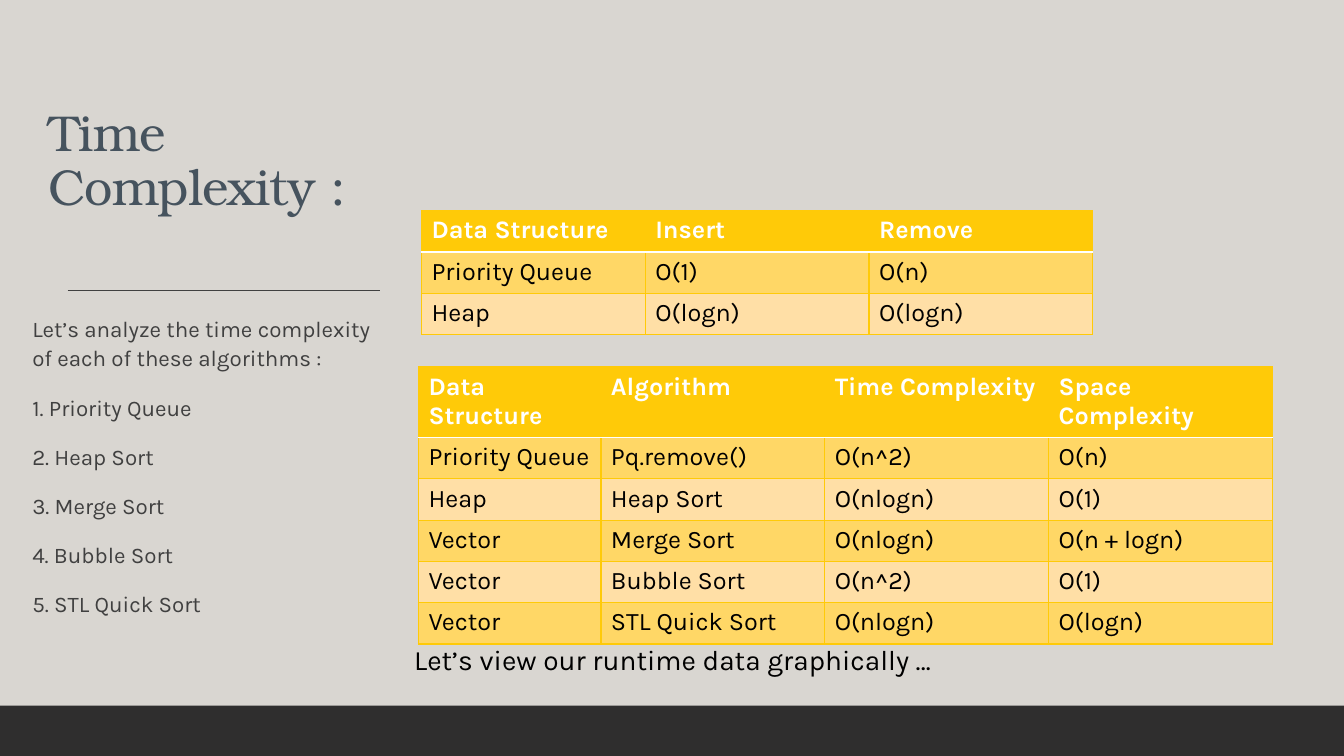
from dataclasses import dataclass
from typing import Any

import pptx
import pptx.dml.color
import pptx.enum.shapes
import pptx.enum.text
import pptx.oxml
import pptx.oxml.ns
import pptx.util

Inches = pptx.util.Inches
Pt = pptx.util.Pt


@dataclass(frozen=True)
class Theme:
    paper: str = "D9D6D1"
    footer: str = "262626"
    title: str = "46535E"
    muted: str = "404040"
    header: str = "FFCA08"
    odd_row: str = "FFD766"
    even_row: str = "FFDFA6"
    white: str = "FFFFFF"
    black: str = "000000"
    serif: str = "TeX Gyre Bonum"
    sans: str = "Karla"
    title_size: int = 36
    caption_size: int = 20
    table_size: int = 18
    body_size: int = 16


@dataclass(frozen=True)
class Box:
    left: float
    top: float
    width: float
    height: float

    def emu(self) -> list[int]:
        return [Inches(v) for v in (self.left, self.top, self.width, self.height)]


@dataclass(frozen=True)
class Bar:
    box: Box
    color: str
    opacity: int = 100


@dataclass(frozen=True)
class TextBlock:
    box: Box
    lines: list[str]
    font: dict[str, Any]
    color: str
    frame: dict[str, Any]
    paragraph: dict[str, Any]
    space_before: int = 0
    indent: float = 0
    spacing: int = 0


@dataclass(frozen=True)
class Grid:
    left: float
    top: float
    widths: list[float]
    rows: list[list[str]]


THEME = Theme()
ROW_HEIGHT = 0.41
COLUMN = 2.22

BARS = [
    Bar(Box(0, 0, 13.33, 7.5), THEME.paper),
    Bar(Box(0, 7, 13.33, 0.5), THEME.footer, 95),
]

TEXTS = [
    TextBlock(
        Box(0.38, 1.66, 3.39, 2.14),
        ["Time Complexity :"],
        {"name": THEME.serif, "size": Pt(THEME.title_size)},
        THEME.title,
        {"vertical_anchor": pptx.enum.text.MSO_ANCHOR.BOTTOM, "margin_bottom": Inches(1.65)},
        {"line_spacing": 0.9},
        spacing=-50,
    ),
    TextBlock(
        Box(0.22, 3.05, 3.69, 3.62),
        [
            "Let’s analyze the time complexity of each of these algorithms :",
            "1. Priority Queue",
            "2. Heap Sort",
            "3. Merge Sort",
            "4. Bubble Sort",
            "5. STL Quick Sort",
        ],
        {"name": THEME.sans, "size": Pt(THEME.body_size)},
        THEME.muted,
        {"margin_left": 0, "margin_right": 0},
        {"line_spacing": 1.1, "space_after": Pt(2)},
        space_before=12,
        indent=0.1,
    ),
    TextBlock(
        Box(4.01, 6.32, 8.61, 0.44),
        ["Let’s view our runtime data graphically …"],
        {"name": THEME.sans, "size": Pt(THEME.caption_size)},
        THEME.black,
        {},
        {},
    ),
]

GRIDS = [
    Grid(4.18, 2.09, [COLUMN] * 3, [
        ["Data Structure", "Insert", "Remove"],
        ["Priority Queue", "O(1)", "O(n)"],
        ["Heap", "O(logn)", "O(logn)"],
    ]),
    Grid(4.15, 3.64, [1.81] + [COLUMN] * 3, [
        ["Data Structure", "Algorithm", "Time Complexity", "Space Complexity"],
        ["Priority Queue", "Pq.remove()", "O(n^2)", "O(n)"],
        ["Heap", "Heap Sort", "O(nlogn)", "O(1)"],
        ["Vector", "Merge Sort", "O(nlogn)", "O(n + logn)"],
        ["Vector", "Bubble Sort", "O(n^2)", "O(1)"],
        ["Vector", "STL Quick Sort", "O(nlogn)", "O(logn)"],
    ]),
]


def apply(obj: Any, values: dict[str, Any]) -> None:
    for name, value in values.items():
        setattr(obj, name, value)


def rgb(color: str) -> Any:
    return pptx.dml.color.RGBColor.from_string(color)


def paint(fill: Any, color: str) -> None:
    fill.solid()
    fill.fore_color.rgb = rgb(color)


def add_child(parent: Any, tag: str, **attributes: str) -> Any:
    child = pptx.oxml.parse_xml(f'<{tag} {pptx.oxml.ns.nsdecls("a")}/>')
    for name, value in attributes.items():
        child.set(name, value)
    parent.append(child)
    return child


def add_bar(s: Any, bar: Bar) -> None:
    sp = s.shapes.add_shape(pptx.enum.shapes.MSO_SHAPE.RECTANGLE, *bar.box.emu())
    sp.shadow.inherit = False
    sp.line.fill.background()
    paint(sp.fill, bar.color)
    if bar.opacity < 100:
        solid = sp._element.spPr.find(pptx.oxml.ns.qn("a:solidFill"))
        add_child(solid[0], "a:alpha", val=str(bar.opacity * 1000))


def add_rule(s: Any) -> None:
    points = [Inches(v) for v in (0.67, 2.88, 3.77, 2.88)]
    rule = s.shapes.add_connector(pptx.enum.shapes.MSO_CONNECTOR.STRAIGHT, *points)
    rule.line.color.rgb = rgb(THEME.muted)
    rule.line.width = Pt(1)
    add_child(rule._element.spPr, "a:effectLst")


def add_text(s: Any, block: TextBlock) -> None:
    tf = s.shapes.add_textbox(*block.box.emu()).text_frame
    apply(tf, {"word_wrap": True, **block.frame})
    for i, line in enumerate(block.lines):
        p = tf.paragraphs[0] if i == 0 else tf.add_paragraph()
        if block.indent:
            p._p.get_or_add_pPr().set("marL", str(Inches(block.indent)))
        apply(p, block.paragraph)
        if i and block.space_before:
            p.space_before = Pt(block.space_before)
        r = p.add_run()
        r.text = line
        apply(r.font, block.font)
        r.font.color.rgb = rgb(block.color)
        if block.spacing:
            r._r.get_or_add_rPr().set("spc", str(block.spacing))


def add_border(cell: Any, side: str, color: str, width: float) -> None:
    ln = add_child(cell._tc.get_or_add_tcPr(), f"a:ln{side}", w=str(Pt(width)))
    add_child(add_child(ln, "a:solidFill"), "a:srgbClr", val=color)


def add_grid(s: Any, grid: Grid) -> None:
    box = Box(grid.left, grid.top, sum(grid.widths), ROW_HEIGHT * len(grid.rows))
    table = s.shapes.add_table(len(grid.rows), len(grid.widths), *box.emu()).table
    for column, width in zip(table.columns, grid.widths):
        column.width = Inches(width)
    for i, row in enumerate(grid.rows):
        table.rows[i].height = Inches(ROW_HEIGHT)
        fill = THEME.header if i == 0 else (THEME.even_row, THEME.odd_row)[i % 2]
        for j, text in enumerate(row):
            cell = table.cell(i, j)
            for side in "LRTB":
                divider = (i, side) in ((0, "B"), (1, "T"))
                add_border(cell, side, *((THEME.white, 1.25) if divider else (THEME.header, 1)))
            paint(cell.fill, fill)
            r = cell.text_frame.paragraphs[0].add_run()
            r.text = text
            apply(r.font, {"name": THEME.sans, "size": Pt(THEME.table_size), "bold": i == 0})
            r.font.color.rgb = rgb(THEME.black if i else THEME.white)


def main() -> None:
    prs = pptx.Presentation()
    apply(prs, {"slide_width": Inches(13.33), "slide_height": Inches(7.5)})
    s = prs.slides.add_slide(prs.slide_layouts[6])
    paint(s.background.fill, THEME.paper)
    for bar in BARS:
        add_bar(s, bar)
    add_rule(s)
    for block in TEXTS:
        add_text(s, block)
    for grid in GRIDS:
        add_grid(s, grid)
    prs.save("out.pptx")


if __name__ == "__main__":
    main()
